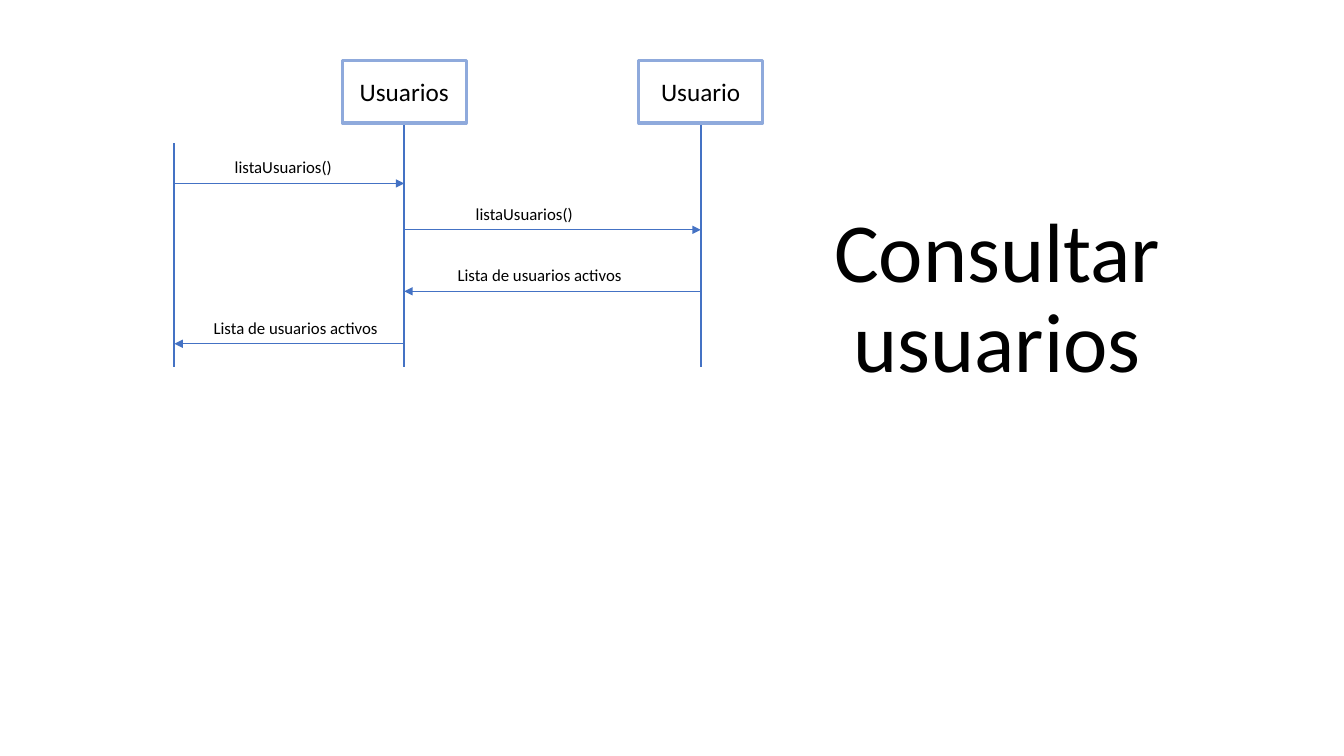
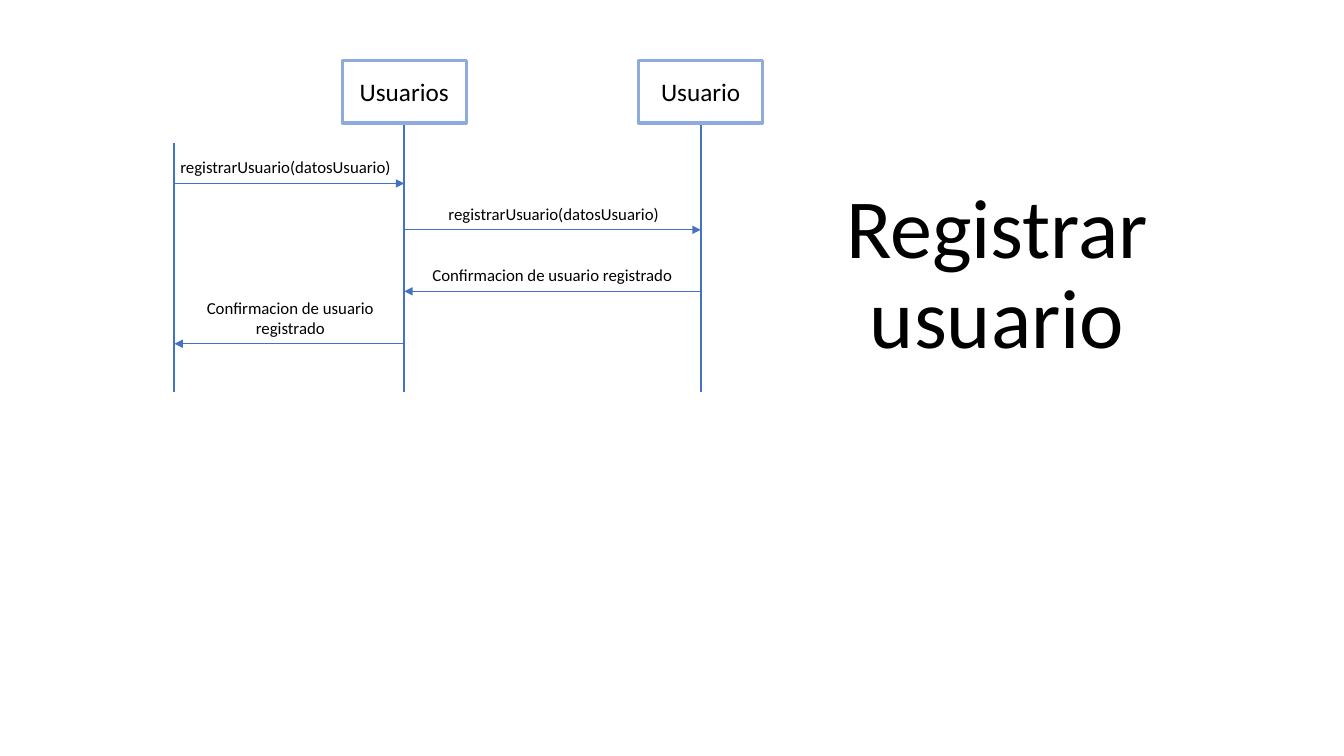
import pptx
import pptx.util
import pptx.dml.color
import pptx.enum.shapes
import pptx.enum.text
import pptx.oxml.ns
from lxml import etree

Inches = pptx.util.Inches
Pt = pptx.util.Pt
RGBColor = pptx.dml.color.RGBColor
ALIGN = pptx.enum.text.PP_ALIGN
ANCHOR = pptx.enum.text.MSO_ANCHOR
FIT = pptx.enum.text.MSO_AUTO_SIZE

BLACK = RGBColor(0x00, 0x00, 0x00)
WHITE = RGBColor(0xFF, 0xFF, 0xFF)
BLUE = RGBColor(0x44, 0x72, 0xC4)
PALE = RGBColor(0x8F, 0xAA, 0xDC)
FONT = "Calibri"

COLS = (1.73, 4.01, 6.95)         # lifelines: caller, Usuarios, Usuario
ROWS = (1.82, 2.28, 2.89, 3.41)   # messages, from top to bottom
STEPS = ((0, 1), (1, 2), (2, 1), (1, 0))  # columns each message joins
HEADS = {1: "Usuarios", 2: "Usuario"}
BOX_TOP, BOX_W, BOX_H = 0.6, 1.23, 0.62
CALLER_TOP = 1.42
LINE_H, PAD = 0.2, 0.1            # label line height, label padding

# Title, title top, lifeline end, then (text, left, width, lines) per message
SLIDES = (
    ("Consultar usuarios", 1.84, 3.64, (
        ("listaUsuarios()", 2.23, 1.17, 1),
        ("listaUsuarios()", 4.62, 1.96, 1),
        ("Lista de usuarios activos", 4.44, 1.96, 1),
        ("Lista de usuarios activos", 2.02, 1.85, 1))),
    ("Registrar usuario", 1.6, 3.89, (
        ("registrarUsuario(datosUsuario)", 1.69, 2.37, 1),
        ("registrarUsuario(datosUsuario)", 4.35, 2.37, 1),
        ("Confirmacion de usuario registrado", 4.19, 2.68, 1),
        ("Confirmacion de usuario registrado", 1.75, 2.26, 2))),
)


def write(frame, text, size, align, anchor):
    frame.word_wrap = True
    frame.vertical_anchor = anchor
    frame.text = text
    para = frame.paragraphs[0]
    para.alignment = align
    para.font.name = FONT
    para.font.size = Pt(size)
    para.font.color.rgb = BLACK
    return para


def add_title(slide, text, top):
    title = slide.shapes.title
    title.left, title.top = Inches(8.03), Inches(top)
    title.width, title.height = Inches(3.72), Inches(2.09)
    para = write(title.text_frame, text, 60, ALIGN.CENTER, ANCHOR.BOTTOM)
    para.line_spacing = 0.9
    title.text_frame.auto_size = FIT.NONE


def add_head(slide, text, col):
    """Add the box that names a lifeline, centred on its column."""
    box = slide.shapes.add_shape(
        pptx.enum.shapes.MSO_SHAPE.RECTANGLE,
        Inches(col - BOX_W / 2), Inches(BOX_TOP), Inches(BOX_W), Inches(BOX_H))
    box.shadow.inherit = False
    box.fill.solid()
    box.fill.fore_color.rgb = WHITE
    box.line.color.rgb = PALE
    box.line.width = Pt(2.25)
    write(box.text_frame, text, 18, ALIGN.CENTER, ANCHOR.MIDDLE)
    return box


def add_line(slide, start, end, width, arrow=False):
    line = slide.shapes.add_connector(
        pptx.enum.shapes.MSO_CONNECTOR.STRAIGHT,
        *(Inches(v) for v in (*start, *end)))
    line.line.color.rgb = BLUE
    line.line.width = Pt(width)
    qn = pptx.oxml.ns.qn
    props = line._element.spPr
    if arrow:
        etree.SubElement(props.find(qn("a:ln")), qn("a:tailEnd"),
                         type="triangle")
    etree.SubElement(props, qn("a:effectLst"))
    return line


def add_label(slide, row, text, left, width, lines):
    """Add a message's text so that it rests on the arrow of its row."""
    high = lines * LINE_H + PAD
    box = slide.shapes.add_textbox(
        Inches(left), Inches(row - high - 0.01), Inches(width), Inches(high))
    align = ALIGN.CENTER if lines > 1 else ALIGN.LEFT
    write(box.text_frame, text, 12, align, ANCHOR.TOP)
    box.text_frame.auto_size = FIT.SHAPE_TO_FIT_TEXT


def add_lives(slide, end):
    """Add the lifelines, each hung from its box where it has one."""
    for num, col in enumerate(COLS):
        top = BOX_TOP + BOX_H if num in HEADS else CALLER_TOP
        line = add_line(slide, (col, top), (col, end), 1.5)
        if num in HEADS:
            line.begin_connect(add_head(slide, HEADS[num], col), 2)


def main():
    deck = pptx.Presentation()
    deck.slide_width, deck.slide_height = Inches(13.33), Inches(7.5)
    for title, top, end, labels in SLIDES:
        slide = deck.slides.add_slide(deck.slide_layouts[5])
        add_title(slide, title, top)
        add_lives(slide, end)
        for row, (here, there), label in zip(ROWS, STEPS, labels):
            add_line(slide, (COLS[here], row), (COLS[there], row), 0.5, True)
            add_label(slide, row, *label)
    deck.save("out.pptx")


if __name__ == "__main__":
    main()
